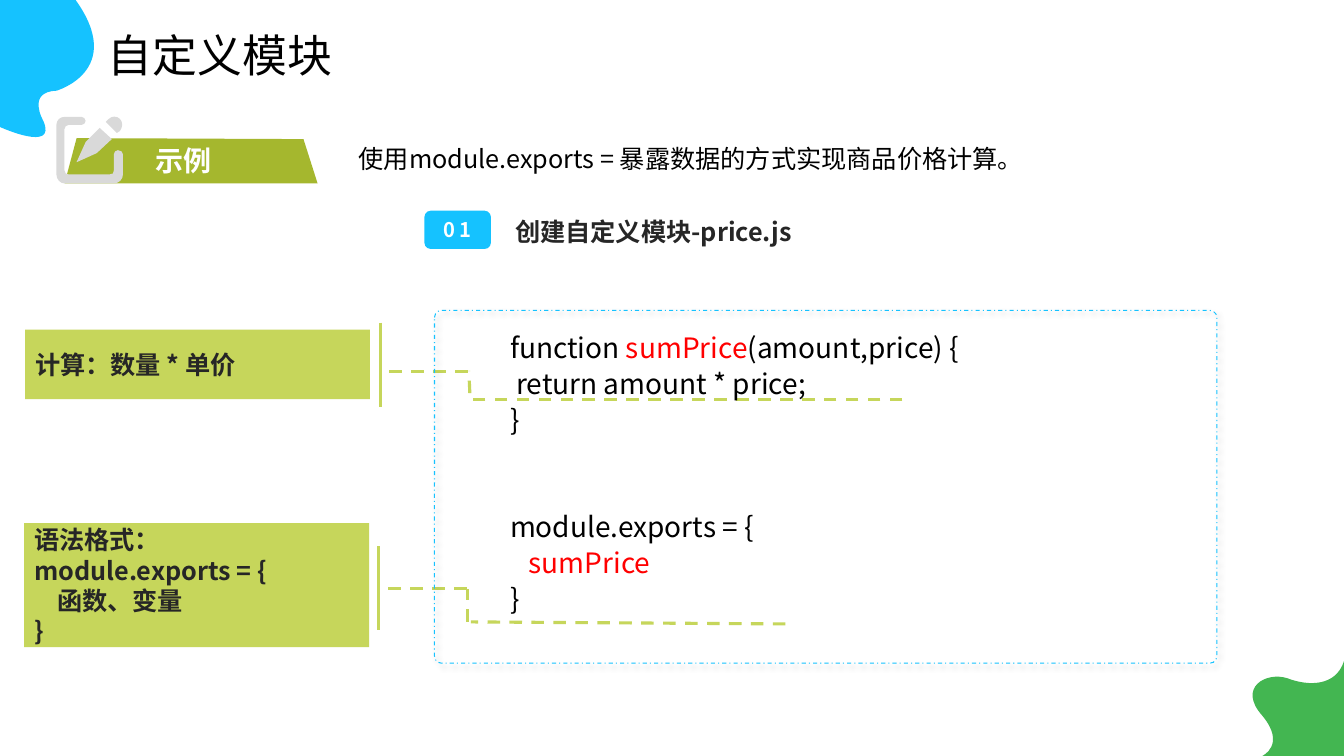
from lxml import etree
from pptx import Presentation
from pptx.dml.color import RGBColor
from pptx.enum import dml, shapes, text
from pptx.oxml.ns import qn
from pptx.util import Inches, Pt

THEME = {
    "font": "Noto Sans CJK SC",
    "blue": "15C2FF", "green": "43B651", "lime": "C6D65B", "olive": "A5B72E",
    "grey": "D9D9D9", "black": "000000", "dark": "262626", "red": "FF0000",
    "white": "FFFFFF",
    "title": 32, "code": 20, "body": 18, "badge": 14.4,
    "leader": 2.25, "frame": 0.75,
    "code gap": 4, "block gap": 55,
}

# Outlines in inches: M move, L line, C cubic curve
CORNER_BLUE = ("M 0 1.26 C 0 1.26 0.57 1.52 0.43 1.2 C 0.43 1.2 0.26 0.91 0.56 0.9 "
               "C 0.56 0.9 1.25 0.7 0.75 0 C 0 0 0 0 0 0")
CORNER_GREEN = ("M 12.52 7.5 C 12.52 7.5 12.76 7.39 12.52 7.1 "
                "C 12.27 6.82 12.56 6.66 12.77 6.73 "
                "C 12.98 6.81 13.25 6.81 13.33 6.56 C 13.33 7.5 13.33 7.5 13.33 7.5")
BANNER = "M 0.76 1.37 L 3.01 1.38 L 3.15 1.82 L 0.64 1.82"
PENCIL_ICON = (
    "M 1.19 1.3 L 1.16 1.32 L 1.05 1.21 L 1.08 1.18 "
    "C 1.11 1.15 1.16 1.15 1.19 1.18 C 1.22 1.21 1.22 1.26 1.19 1.3 "
    "M 1.11 1.38 L 0.96 1.52 L 0.76 1.61 L 0.85 1.41 L 0.99 1.27 "
    "M 0.81 1.24 L 0.68 1.24 C 0.66 1.24 0.64 1.26 0.64 1.28 L 0.64 1.69 "
    "C 0.64 1.72 0.66 1.73 0.68 1.73 L 1.09 1.73 C 1.12 1.73 1.13 1.72 1.13 1.69 "
    "L 1.13 1.53 C 1.13 1.51 1.15 1.49 1.17 1.49 C 1.2 1.49 1.22 1.51 1.22 1.53 "
    "L 1.22 1.73 C 1.22 1.78 1.18 1.82 1.13 1.82 L 0.64 1.82 "
    "C 0.6 1.82 0.56 1.78 0.56 1.73 L 0.56 1.24 C 0.56 1.19 0.6 1.16 0.64 1.16 "
    "L 0.81 1.16 C 0.83 1.16 0.85 1.18 0.85 1.2 C 0.85 1.22 0.83 1.24 0.81 1.24")

TITLE = "自定义模块"
BANNER_LABEL = "示例"
INTRO = "使用module.exports = 暴露数据的方式实现商品价格计算。"
STEP_NUMBER, STEP_TITLE = "01", "创建自定义模块-price.js"

# Each line of code is a list of (text, colour) spans
FUNCTION_CODE = [
    [("function ", "black"), ("sumPrice", "red"), ("(amount,price) {", "black")],
    [(" return amount * price;", "black")],
    [("}", "black")],
]
EXPORT_CODE = [
    [("module.exports = {", "black")],
    [("   sumPrice", "red")],
    [("}", "black")],
]

CALLOUTS = [
    {"box": (0.25, 3.27, 3.42, 0.69),
     "lines": ["计算：数量 * 单价"],
     "bar": (3.77, 3.2, 3.77, 4.04),
     "leader": [(8.95, 3.96, 4.65, 3.96), (4.66, 3.9, 4.65, 3.68),
                (4.64, 3.69, 3.77, 3.69)]},
    {"box": (0.24, 5.19, 3.42, 1.23),
     "lines": ["语法格式：", "module.exports = {", "    函数、变量", "}"],
     "bar": (3.75, 5.42, 3.75, 6.25),
     "leader": [(7.79, 6.19, 4.67, 6.17), (4.64, 6.17, 4.64, 5.84),
                (4.63, 5.84, 3.75, 5.84)]},
]


def color(name):
    return RGBColor.from_string(THEME[name])


def read_outline(outline):
    """Split an outline into (command, points) pairs."""
    segments, words = [], outline.split()
    while words:
        command, count = words[0], 6 if words[0] == "C" else 2
        values = [Inches(float(word)) for word in words[1:count + 1]]
        segments.append((command, list(zip(values[::2], values[1::2]))))
        words = words[count + 1:]
    return segments


def add_outline(page, outline, fill):
    """Draw every point as a corner, then join each curve's three points."""
    segments = read_outline(outline)
    builder = page.shapes.build_freeform(*segments[0][1][0], scale=1.0)
    for index, (command, points) in enumerate(segments[1:], 1):
        if command == "M":
            builder.move_to(*points[0])
        else:
            closes = index + 1 == len(segments) or segments[index + 1][0] == "M"
            builder.add_line_segments(points, close=closes)
    shape = builder.convert_to_shape()
    paint(shape, fill)
    steps = [step for step in shape._element.iter(qn("a:moveTo"), qn("a:lnTo"))]
    for command, points in segments:
        corners, steps = steps[:len(points)], steps[len(points):]
        if command == "C":
            curve = etree.Element(qn("a:cubicBezTo"))
            corners[0].addprevious(curve)
            for corner in corners:
                curve.append(corner[0])
                corner.getparent().remove(corner)


def paint(shape, fill):
    shape.shadow.inherit = False
    shape.fill.solid()
    shape.fill.fore_color.rgb = color(fill)
    shape.line.fill.background()


def add_shape(page, kind, area):
    return page.shapes.add_shape(kind, *map(Inches, area))


def add_line(page, ends, dashed):
    line = page.shapes.add_connector(shapes.MSO_CONNECTOR.STRAIGHT, *map(Inches, ends))
    line.line.color.rgb = color("lime")
    line.line.width = Pt(THEME["leader"])
    if dashed:
        line.line.dash_style = dml.MSO_LINE.DASH
    etree.SubElement(line._element.spPr, qn("a:effectLst"))


def write(box, lines, size, ink="black", bold=False, spacing=None, wrap=True,
          align=text.PP_ALIGN.LEFT, tracking=0):
    """Fill a box; a line is a string or a list of (text, colour) spans."""
    frame = box.text_frame
    frame.word_wrap = wrap
    for index, line in enumerate(lines):
        para = frame.paragraphs[0] if index == 0 else frame.add_paragraph()
        para.alignment = align
        if spacing:
            para.line_spacing = spacing
        font = para.font
        font.name, font.size, font.bold = THEME["font"], Pt(THEME[size]), bold
        font.color.rgb = color(ink)
        defaults = para._p.pPr.find(qn("a:defRPr"))
        etree.SubElement(defaults, qn("a:ea"), typeface=THEME["font"])
        if tracking:
            defaults.set("spc", str(tracking * 100))
        for words, span_ink in [(line, ink)] if isinstance(line, str) else line:
            span = para.add_run()
            span.text = words
            if span_ink != ink:
                span.font.color.rgb = color(span_ink)


def add_text(page, area, lines, size, **style):
    box = page.shapes.add_textbox(*map(Inches, area))
    write(box, lines, size, **style)
    return box


def add_callout(page, callout):
    box = add_shape(page, shapes.MSO_SHAPE.RECTANGLE, callout["box"])
    paint(box, "lime")
    box.text_frame.vertical_anchor = text.MSO_ANCHOR.MIDDLE
    write(box, callout["lines"], "body", ink="dark", bold=True)
    add_line(page, callout["bar"], dashed=False)
    for ends in callout["leader"]:
        add_line(page, ends, dashed=True)


def add_step(page):
    add_text(page, (5.01, 1.95, 7.42, 0.55), [STEP_TITLE], "body", ink="dark",
             bold=True, spacing=1.5)
    badge = add_shape(page, shapes.MSO_SHAPE.ROUNDED_RECTANGLE, (4.21, 2.09, 0.66, 0.38))
    paint(badge, "blue")
    badge.text_frame.vertical_anchor = text.MSO_ANCHOR.MIDDLE
    write(badge, [STEP_NUMBER], "badge", ink="white", bold=True,
          align=text.PP_ALIGN.CENTER, tracking=3)


def add_code(page):
    code = add_text(page, (4.96, 3.27, 6.25, 3.31), FUNCTION_CODE + EXPORT_CODE, "code",
                    spacing=0.9)
    paragraphs = code.text_frame.paragraphs
    for para in paragraphs[1:]:
        para.space_before = Pt(THEME["code gap"])
    paragraphs[len(FUNCTION_CODE)].space_before = Pt(THEME["block gap"])
    frame = add_shape(page, shapes.MSO_SHAPE.ROUNDED_RECTANGLE, (4.31, 3.08, 7.76, 3.5))
    frame.adjustments[0] = 0.02
    frame.fill.background()
    frame.line.color.rgb = color("blue")
    frame.line.width = Pt(THEME["frame"])
    frame.line.dash_style = dml.MSO_LINE.DASH_DOT
    frame.shadow.inherit = False
    effects = frame._element.spPr.find(qn("a:effectLst"))
    shadow = etree.SubElement(effects, qn("a:outerShdw"), blurRad=str(Pt(4)),
                              dist=str(Pt(3)), dir="2700000", algn="tl", rotWithShape="0")
    tint = etree.SubElement(shadow, qn("a:srgbClr"), val=THEME["black"])
    etree.SubElement(tint, qn("a:alpha"), val="40000")


def main():
    deck = Presentation()
    deck.slide_width, deck.slide_height = Inches(13.33), Inches(7.5)
    page = deck.slides.add_slide(deck.slide_layouts[6])
    add_outline(page, CORNER_BLUE, "blue")
    add_outline(page, CORNER_GREEN, "green")
    add_text(page, (0.97, 0.23, 2.5, 0.64), [TITLE], "title")
    add_text(page, (3.46, 1.37, 7.75, 0.4), [INTRO], "body")
    for callout in CALLOUTS:
        add_callout(page, callout)
    add_step(page)
    add_code(page)
    add_outline(page, BANNER, "olive")
    add_text(page, (1.44, 1.37, 0.8, 0.44), [BANNER_LABEL], "code", ink="white", bold=True)
    add_outline(page, PENCIL_ICON, "grey")
    deck.save("out.pptx")


if __name__ == "__main__":
    main()
